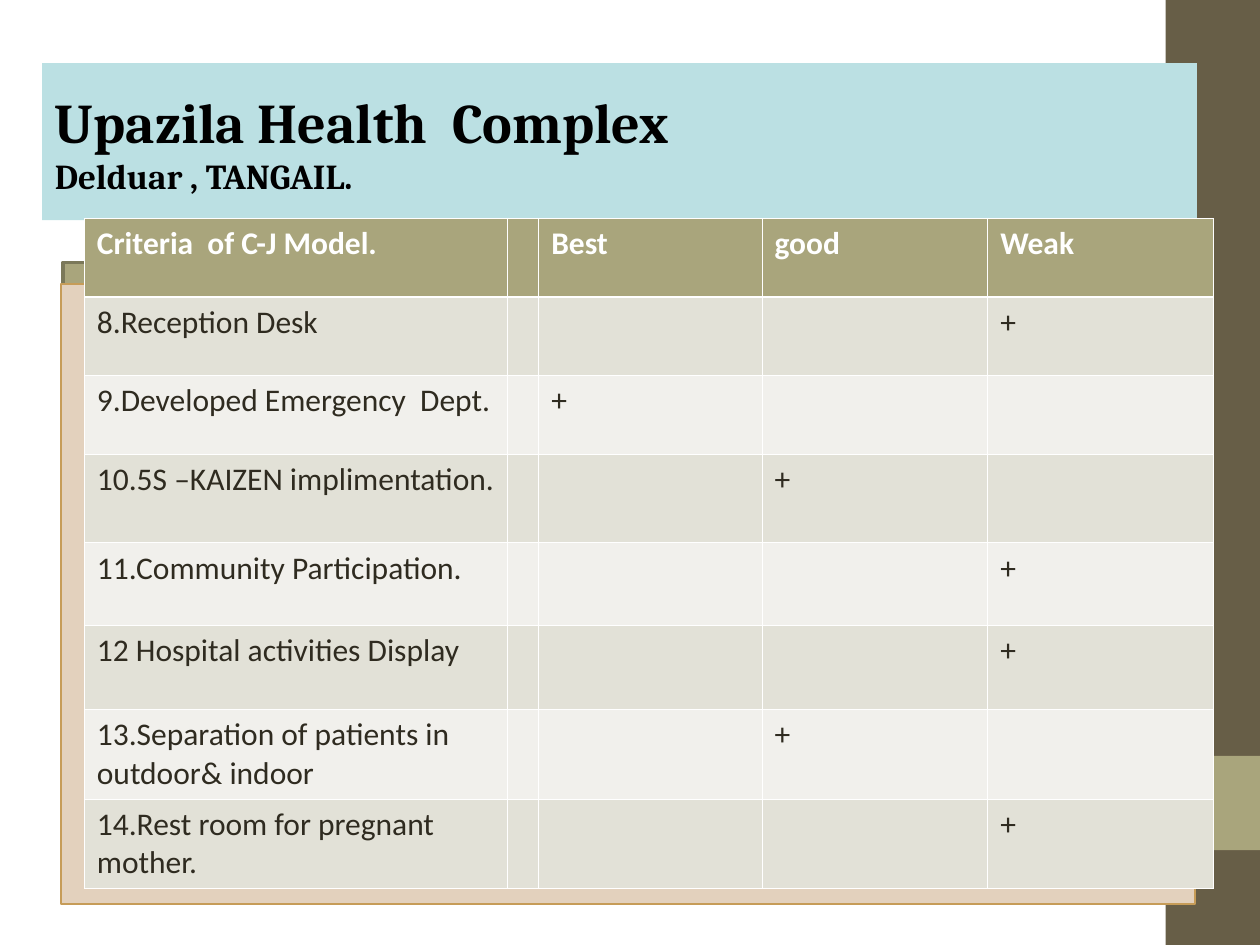
"""Builds the slide rating a health complex against the C-J model criteria."""
import pptx
import pptx.dml.color
import pptx.enum.shapes
import pptx.enum.text
import pptx.oxml.ns
import pptx.util
from lxml import etree

Cm = pptx.util.Cm
Pt = pptx.util.Pt

COLORS = {
    "bar": "675E47",
    "olive": "A9A57C",
    "olive_line": "7B7859",
    "title": "BBE0E3",
    "sand": "E3D1BD",
    "sand_line": "C69C58",
    "band": "E2E1D7",
    "plain": "F1F0EC",
    "ink": "2F2B20",
    "black": "000000",
    "white": "FFFFFF",
}
HEADERS = ["Criteria  of C-J Model.", "", "Best", "good", "Weak"]
RATINGS = [
    ("8.Reception Desk", "Weak"),
    ("9.Developed Emergency  Dept.", "Best"),
    ("10.5S –KAIZEN implimentation.", "good"),
    ("11.Community Participation.", "Weak"),
    ("12 Hospital activities Display", "Weak"),
    ("13.Separation of patients in outdoor& indoor", "good"),
    ("14.Rest room for pregnant mother.", "Weak"),
]
COLUMN_WIDTHS = [8.52, 0.64, 4.5, 4.55, 4.55]
ROW_HEIGHTS = [1.59, 1.58, 1.59, 1.78, 1.67, 1.69, 1.8, 1.81]


def rgb(name):
    return pptx.dml.color.RGBColor.from_string(COLORS[name])


def add_text(para, text, size=18, font="Calibri", color="ink", bold=False):
    span = para.add_run()
    span.text = text
    span.font.size = Pt(size)
    span.font.name = font
    span.font.bold = bold
    span.font.color.rgb = rgb(color)


class SlidePainter:
    def __init__(self, slide):
        self.slide = slide

    def rectangle(self, left, top, width, height, fill, line=None, line_width=1):
        box = self.slide.shapes.add_shape(
            pptx.enum.shapes.MSO_SHAPE.RECTANGLE, Cm(left), Cm(top), Cm(width), Cm(height))
        box.shadow.inherit = False
        box.fill.solid()
        box.fill.fore_color.rgb = rgb(fill)
        if line:
            box.line.color.rgb = rgb(line)
            box.line.width = Pt(line_width)
        else:
            box.line.fill.background()

    def title(self, heading, place, left, top, width, height):
        box = self.slide.shapes.title
        box.element.getparent().append(box.element)
        box.left, box.top, box.width, box.height = Cm(left), Cm(top), Cm(width), Cm(height)
        box.fill.solid()
        box.fill.fore_color.rgb = rgb("title")
        frame = box.text_frame
        frame.word_wrap = True
        frame.auto_size = pptx.enum.text.MSO_AUTO_SIZE.NONE
        frame.vertical_anchor = pptx.enum.text.MSO_ANCHOR.MIDDLE
        para = frame.paragraphs[0]
        para.alignment = pptx.enum.text.PP_ALIGN.LEFT
        add_text(para, heading, size=32, font="Cambria", color="black", bold=True)
        para.add_line_break()
        add_text(para, place, size=20, font="Cambria", color="black", bold=True)

    def borders(self, cell, widths):
        properties = cell._tc.get_or_add_tcPr()
        for index, (side, width) in enumerate(widths.items()):
            line = etree.Element(pptx.oxml.ns.qn(f"a:ln{side}"), w=str(Pt(width)))
            fill = etree.SubElement(line, pptx.oxml.ns.qn("a:solidFill"))
            etree.SubElement(fill, pptx.oxml.ns.qn("a:srgbClr"), val=COLORS["white"])
            properties.insert(index, line)

    def table(self, rows, left, top):
        table = self.slide.shapes.add_table(
            len(rows), len(COLUMN_WIDTHS), Cm(left), Cm(top),
            Cm(sum(COLUMN_WIDTHS)), Cm(sum(ROW_HEIGHTS))).table
        table.horz_banding = False
        for column, width in zip(table.columns, COLUMN_WIDTHS):
            column.width = Cm(width)
        for row, height in zip(table.rows, ROW_HEIGHTS):
            row.height = Cm(height)
        for row_index, texts in enumerate(rows):
            header = row_index == 0
            fill = "olive" if header else "band" if row_index % 2 else "plain"
            widths = {"L": 0.45, "R": 0.45,
                      "T": 1.47 if row_index == 1 else 0.45,
                      "B": 1.47 if header else 0.45}
            for column_index, text in enumerate(texts):
                cell = table.cell(row_index, column_index)
                cell.fill.solid()
                cell.fill.fore_color.rgb = rgb(fill)
                self.borders(cell, widths)
                if text:
                    add_text(cell.text_frame.paragraphs[0], text,
                             color="white" if header else "ink", bold=header)


def main():
    deck = pptx.Presentation()
    deck.slide_width, deck.slide_height = Cm(25.4), Cm(19.05)
    painter = SlidePainter(deck.slides.add_slide(deck.slide_layouts[5]))
    painter.rectangle(23.5, 0, 1.9, 19.05, "bar")
    painter.rectangle(23.5, 15.24, 1.9, 1.9, "olive")
    painter.rectangle(1.27, 5.29, 22.86, 12.5, "olive", "olive_line", 2)
    painter.title("Upazila Health  Complex", "Delduar , TANGAIL.", 0.85, 1.27, 23.28, 3.17)
    painter.rectangle(1.23, 5.72, 22.86, 12.5, "sand", "sand_line", 1)
    rows = [HEADERS] + [
        [criterion] + ["+" if header == rating else "" for header in HEADERS[1:]]
        for criterion, rating in RATINGS]
    painter.table(rows, 1.7, 4.4)
    deck.save("out.pptx")


if __name__ == "__main__":
    main()
